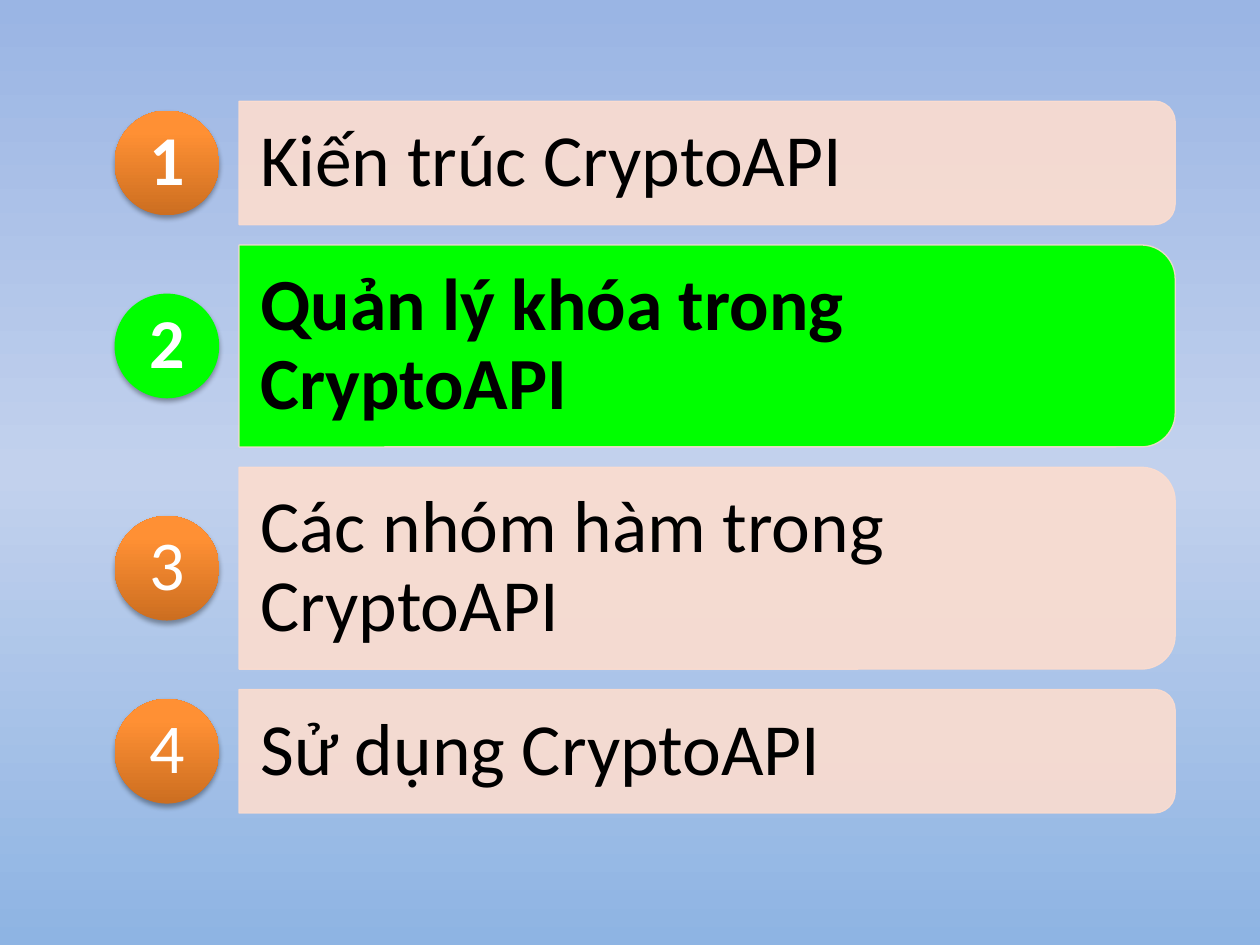
"""Build an agenda slide of four numbered bars with the second one highlighted."""
import lxml.etree
import pptx
import pptx.dml.color
import pptx.enum.shapes
import pptx.enum.text
import pptx.oxml.ns
import pptx.util

Cm = pptx.util.Cm
Pt = pptx.util.Pt
qn = pptx.oxml.ns.qn
SHAPES = pptx.enum.shapes.MSO_SHAPE
ALIGN = pptx.enum.text.PP_ALIGN

TOPICS = [
    {"text": "Kiến trúc CryptoAPI", "lines": 1, "bold_number": True},
    {"text": "Quản lý khóa trong CryptoAPI", "lines": 2, "bold_number": True, "current": True},
    {"text": "Các nhóm hàm trong CryptoAPI", "lines": 2},
    {"text": "Sử dụng CryptoAPI", "lines": 1},
]

THEME = {
    "font": "Calibri",
    "topic_size": 42,
    "number_size": 40,
    "topic_color": "000000",
    "number_color": "FFFFFF",
    "bar": "FCDDCF",
    "current": "00FF00",
    "disc": [(0, "CC6E20"), (80, "FF9034"), (100, "FF9136")],
    "background": [(0, "9AB5E4"), (50, "C2D1ED"), (100, "8EB4E3")],
}

BAR_HEIGHTS = {1: 2.49, 2: 4.07}
BAR_LEFT, BAR_WIDTH, FIRST_TOP, GAP = 4.82, 18.87, 2.04, 0.41
DISC_LEFT, DISC_SIZE, NUMBER_SIZE = 2.31, 2.11, 1.47
CORNER_INSET = 0.05


def rgb(value):
    """Return a colour object for a hex value."""
    return pptx.dml.color.RGBColor.from_string(value)


def add_element(parent, tag, **attributes):
    """Append a drawing element with the given attributes."""
    values = {name: str(value) for name, value in attributes.items()}
    return lxml.etree.SubElement(parent, qn(tag), values)


def set_gradient(fill, element, stops, angle):
    """Fill with a linear gradient through the given stops."""
    fill.gradient()
    fill.gradient_angle = angle
    stop_list = next(element.iter(qn("a:gsLst")))
    for stop in list(stop_list):
        stop_list.remove(stop)
    for position, color in stops:
        stop = add_element(stop_list, "a:gs", pos=position * 1000)
        add_element(stop, "a:srgbClr", val=color)


def add_text(slide, text, left, top, width, height, *, size, color,
             bold=False, align=ALIGN.LEFT, insets=(0, 0)):
    """Add a middle-anchored, wrapped text box."""
    shape = slide.shapes.add_textbox(Cm(left), Cm(top), Cm(width), Cm(height))
    frame = shape.text_frame
    frame.word_wrap = True
    frame.vertical_anchor = pptx.enum.text.MSO_ANCHOR.MIDDLE
    frame.margin_left = frame.margin_right = Cm(insets[0])
    frame.margin_top = frame.margin_bottom = Cm(insets[1])
    paragraph = frame.paragraphs[0]
    paragraph.alignment = align
    paragraph.line_spacing = 0.9
    spacing = add_element(paragraph._p.get_or_add_pPr(), "a:spcAft")
    add_element(spacing, "a:spcPct", val=35000)
    run = paragraph.add_run()
    run.text = text
    run.font.name = THEME["font"]
    run.font.size = Pt(size)
    run.font.bold = bold
    run.font.color.rgb = rgb(color)


def add_bar(slide, top, height, current):
    """Add a bar whose two right corners are rounded."""
    left = BAR_LEFT + (BAR_WIDTH - height) / 2
    rotated_top = top + (height - BAR_WIDTH) / 2
    shape = slide.shapes.add_shape(SHAPES.ROUND_2_SAME_RECTANGLE, Cm(left), Cm(rotated_top),
                                   Cm(height), Cm(BAR_WIDTH))
    shape.rotation = 90
    shape.shadow.inherit = False
    shape.fill.solid()
    shape.fill.fore_color.rgb = rgb(THEME["current" if current else "bar"])
    shape.line.color.rgb = rgb(THEME["bar"])
    shape.line.width = Pt(0.75)
    fill_color, line_color = shape.element.spPr.iter(qn("a:srgbClr"))
    for color in [line_color] if current else [fill_color, line_color]:
        add_element(color, "a:alpha", val=90000)


def add_disc(slide, top, current):
    """Add a number disc with a soft shadow."""
    shape = slide.shapes.add_shape(SHAPES.OVAL, Cm(DISC_LEFT), Cm(top),
                                   Cm(DISC_SIZE), Cm(DISC_SIZE))
    if current:
        shape.fill.solid()
        shape.fill.fore_color.rgb = rgb(THEME["current"])
    else:
        set_gradient(shape.fill, shape.element, THEME["disc"], 90)
    shape.line.fill.background()
    shape.shadow.inherit = False
    effects = shape.element.spPr.find(qn("a:effectLst"))
    shadow = add_element(effects, "a:outerShdw", blurRad=Pt(3.1), dist=Pt(1.8),
                         dir=5400000, rotWithShape=0)
    color = add_element(shadow, "a:srgbClr", val="000000")
    add_element(color, "a:alpha", val=35000)


def main():
    """Create the presentation and save it."""
    presentation = pptx.Presentation()
    presentation.slide_width, presentation.slide_height = Cm(25.4), Cm(19.05)
    slide = presentation.slides.add_slide(presentation.slide_layouts[6])
    set_gradient(slide.background.fill, slide.element, THEME["background"], 270)

    top = FIRST_TOP
    for number, topic in enumerate(TOPICS, start=1):
        height = BAR_HEIGHTS[topic["lines"]]
        current = topic.get("current", False)
        inset = CORNER_INSET * height
        middle = top + height / 2
        add_bar(slide, top, height, current)
        add_text(slide, topic["text"], BAR_LEFT, top + inset, BAR_WIDTH - inset,
                 height - 2 * inset, size=THEME["topic_size"], color=THEME["topic_color"],
                 bold=current, insets=(0.43, 0.3))
        add_disc(slide, middle - DISC_SIZE / 2, current)
        add_text(slide, str(number), DISC_LEFT + (DISC_SIZE - NUMBER_SIZE) / 2,
                 middle - NUMBER_SIZE / 2, NUMBER_SIZE, NUMBER_SIZE,
                 size=THEME["number_size"], color=THEME["number_color"],
                 bold=topic.get("bold_number", False), align=ALIGN.CENTER)
        top += height + GAP

    presentation.save("out.pptx")


if __name__ == "__main__":
    main()
